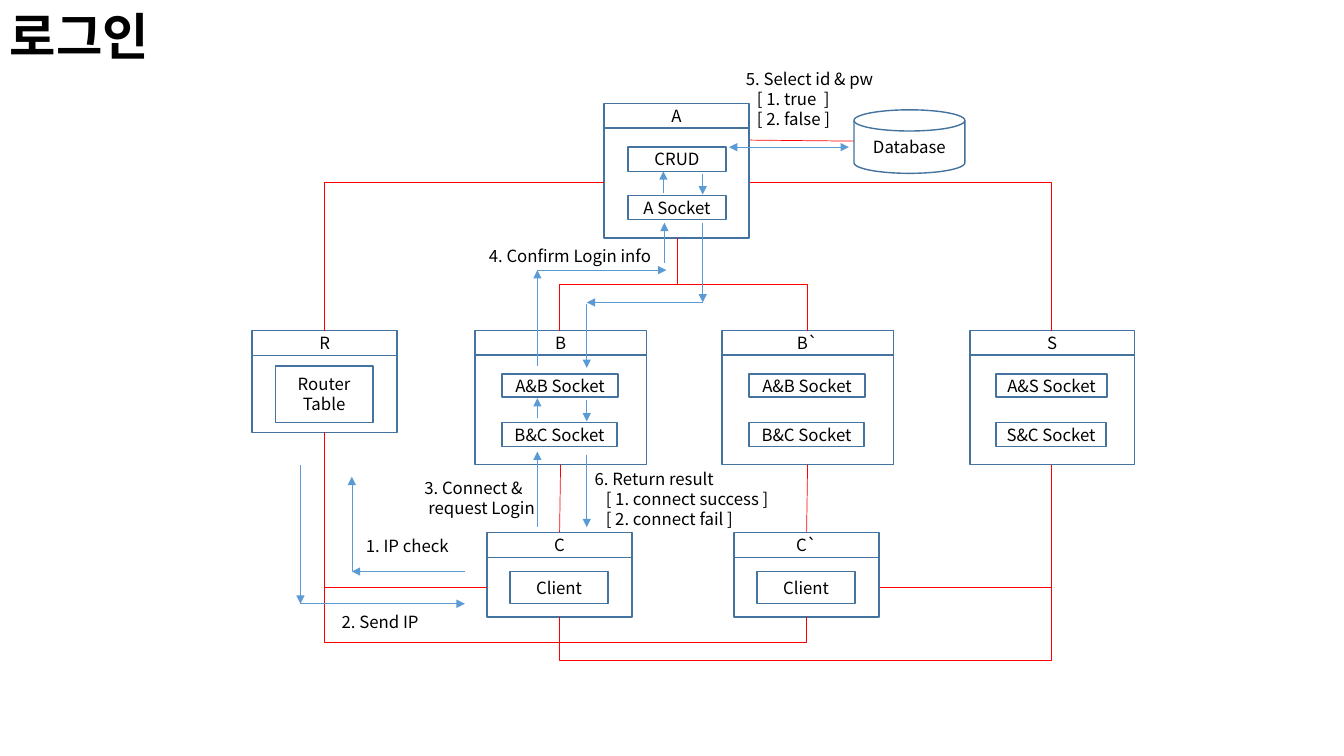
from lxml import etree
from pptx import Presentation
from pptx import util as u
from pptx.dml.color import RGBColor
from pptx.enum import shapes, text
from pptx.oxml.ns import qn

COLORS = {"ink": "000000", "outline": "43739E", "link": "FF0000", "flow": "5B9BD5"}


class Diagram:
    font = "Noto Sans CJK KR"
    size = 12

    def __init__(self, deck):
        self.page = deck.slides.add_slide(deck.slide_layouts[6])

    def fill_text(self, box, lines, align, size=None, bold=False, indents=()):
        frame = box.text_frame
        frame.text = "\n".join(lines)
        for index, para in enumerate(frame.paragraphs):
            para.alignment = align
            para.font.name = self.font
            para.font.size = u.Pt(size or self.size)
            para.font.bold = bold
            para.font.color.rgb = RGBColor.from_string(COLORS["ink"])
            east_asian = etree.SubElement(para.font._element, qn("a:ea"))
            east_asian.set("typeface", self.font)
            if index < len(indents):
                para._p.get_or_add_pPr().set("marL", str(u.Inches(indents[index])))

    def shape(self, left, top, width, height, *lines, kind=shapes.MSO_SHAPE.RECTANGLE):
        box = self.page.shapes.add_shape(kind, *map(u.Inches, (left, top, width, height)))
        box.shadow.inherit = False
        box.fill.background()
        box.line.color.rgb = RGBColor.from_string(COLORS["outline"])
        box.line.width = u.Pt(1)
        if lines:
            box.text_frame.vertical_anchor = text.MSO_ANCHOR.MIDDLE
            self.fill_text(box, lines, text.PP_ALIGN.CENTER)
        return box

    def node(self, name, left, top, width, body_height, head_height=0.24):
        """Draw a titled box and return its header and body."""
        head = self.shape(left, top, width, head_height, name)
        body = self.shape(left, top + head_height, width, body_height)
        return head, body

    def label(self, left, top, width, height, *lines, **style):
        box = self.page.shapes.add_textbox(*map(u.Inches, (left, top, width, height)))
        box.text_frame.word_wrap = False
        box.text_frame.auto_size = text.MSO_AUTO_SIZE.SHAPE_TO_FIT_TEXT
        self.fill_text(box, lines, text.PP_ALIGN.LEFT, **style)

    def connector(self, start, end, color, kind=shapes.MSO_CONNECTOR.STRAIGHT):
        line = self.page.shapes.add_connector(kind, *map(u.Inches, (*start, *end)))
        line.line.color.rgb = RGBColor.from_string(COLORS[color])
        line.line.width = u.Pt(0.5)
        etree.SubElement(line._element.spPr, qn("a:effectLst"))
        return line

    def join(self, upper, lower):
        line = self.connector((0, 0), (0, 0), "link")
        line.begin_connect(upper, 2)
        line.end_connect(lower, 0)

    def arrow(self, start, end, ends=("tailEnd",)):
        line = self.connector(start, end, "flow")
        outline = line._element.spPr.find(qn("a:ln"))
        for name in ends:
            etree.SubElement(outline, qn(f"a:{name}")).set("type", "triangle")

    def elbow(self, start, end, vertical=True, bend=None):
        """Bend once, or twice at the height given by bend."""
        (x1, y1), (x2, y2) = start, end
        if vertical:  # the frame is turned by 90 degrees about its centre
            mid_x, mid_y = (x1 + x2) / 2, (y1 + y2) / 2
            half_w, half_h = (y2 - y1) / 2, (x2 - x1) / 2
            start, end = (mid_x - half_w, mid_y + half_h), (mid_x + half_w, mid_y - half_h)
        line = self.connector(start, end, "link", shapes.MSO_CONNECTOR.ELBOW)
        properties = line._element.spPr
        if vertical:
            properties.find(qn("a:xfrm")).set("rot", "5400000")
        geometry = properties.find(qn("a:prstGeom"))
        if bend is None:
            geometry.set("prst", "bentConnector2")
        else:
            guide = etree.SubElement(geometry.find(qn("a:avLst")), qn("a:gd"))
            guide.set("name", "adj1")
            guide.set("fmla", f"val {round((bend - y1) / (y2 - y1) * 100000)}")


def main():
    deck = Presentation()
    deck.slide_width, deck.slide_height = u.Inches(13.33), u.Inches(7.5)
    diagram = Diagram(deck)

    # Title
    diagram.label(0, 0, 1.72, 0.71, "로그인", size=36, bold=True)

    # Servers A, R and S
    diagram.node("A", 5.99, 1.03, 1.44, 1.09)
    for top, name in ((1.46, "CRUD"), (1.94, "A Socket")):
        diagram.shape(6.23, top, 0.97, 0.24, name)
    diagram.node("R", 2.5, 3.28, 1.44, 0.76, 0.25)
    diagram.shape(2.73, 3.63, 0.97, 0.56, "Router", "Table")
    diagram.node("S", 9.62, 3.28, 1.63, 1.09)
    diagram.shape(9.88, 3.71, 1.1, 0.23, "A&S Socket")
    diagram.shape(9.88, 4.19, 1.09, 0.24, "S&C Socket")

    # Servers B with their clients C
    for mark, left in (("", 4.71), ("`", 7.16)):
        server = diagram.node("B" + mark, left, 3.28, 1.7, 1.09)[1]
        diagram.shape(left + 0.27, 3.71, 1.15, 0.23, "A&B Socket")
        diagram.shape(left + 0.27, 4.19, 1.14, 0.24, "B&C Socket")
        client = diagram.node("C" + mark, left + 0.12, 5.28, 1.44, 0.59, 0.25)[0]
        diagram.shape(left + 0.35, 5.67, 0.97, 0.32, "Client")
        diagram.join(server, client)

    # Database
    diagram.shape(8.47, 1.09, 1.1, 0.63, "Database", kind=shapes.MSO_SHAPE.FLOWCHART_MAGNETIC_DISK)
    diagram.connector((7.44, 1.39), (8.47, 1.4), "link")

    # Network links
    router, storage, top_server = (3.22, 4.29), (10.43, 4.61), (6.72, 2.36)
    diagram.elbow((5.99, 1.81), (3.22, 3.28), vertical=False)
    diagram.elbow((7.44, 1.81), (10.43, 3.28), vertical=False)
    diagram.elbow(router, (4.83, 5.83))
    diagram.elbow(storage, (8.73, 5.83))
    diagram.elbow((5.55, 6.12), storage, bend=6.55)
    diagram.elbow((8, 6.12), router, bend=6.37)
    for center in (5.55, 8.01):
        diagram.elbow((center, 3.28), top_server, bend=2.82)

    # Login flow
    for start, end in (
        ((4.61, 5.67), (3.49, 5.67)), ((3.49, 5.66), (3.49, 4.73)),
        ((2.98, 4.61), (2.98, 5.99)), ((2.98, 5.99), (4.61, 5.99)),
        ((5.33, 5.23), (5.33, 4.48)), ((5.33, 4.15), (5.33, 3.95)),
        ((5.33, 3.63), (5.33, 2.68)), ((5.33, 2.68), (6.61, 2.68)),
        ((6.59, 2.61), (6.59, 2.21)), ((6.58, 1.91), (6.58, 1.7)),
        ((6.97, 1.73), (6.97, 1.93)), ((6.97, 2.21), (6.97, 3)),
        ((6.97, 3), (5.82, 3)), ((5.82, 3.02), (5.82, 3.65)),
        ((5.82, 3.97), (5.82, 4.18)), ((5.82, 4.51), (5.82, 5.23)),
    ):
        diagram.arrow(start, end)
    diagram.arrow((7.23, 1.46), (8.42, 1.46), ends=("headEnd", "tailEnd"))

    # Step labels
    results = (0, 0.11, 0.11)
    diagram.label(3.53, 5.27, 1.02, 0.3, "1. IP check")
    diagram.label(3.29, 6.02, 0.97, 0.3, "2. Send IP")
    diagram.label(4.11, 4.69, 1.31, 0.5, "3. Connect &", "request Login", indents=(0, 0.04))
    diagram.label(4.75, 2.39, 1.84, 0.3, "4. Confirm Login info")
    diagram.label(7.3, 0.63, 1.53, 0.71, "5. Select id & pw", "[ 1. true  ]", "[ 2. false ]",
                  indents=results)
    diagram.label(5.8, 4.6, 2.08, 0.71, "6. Return result", "[ 1. connect success ]",
                  "[ 2. connect fail ]", indents=results)

    deck.save("out.pptx")


if __name__ == "__main__":
    main()
